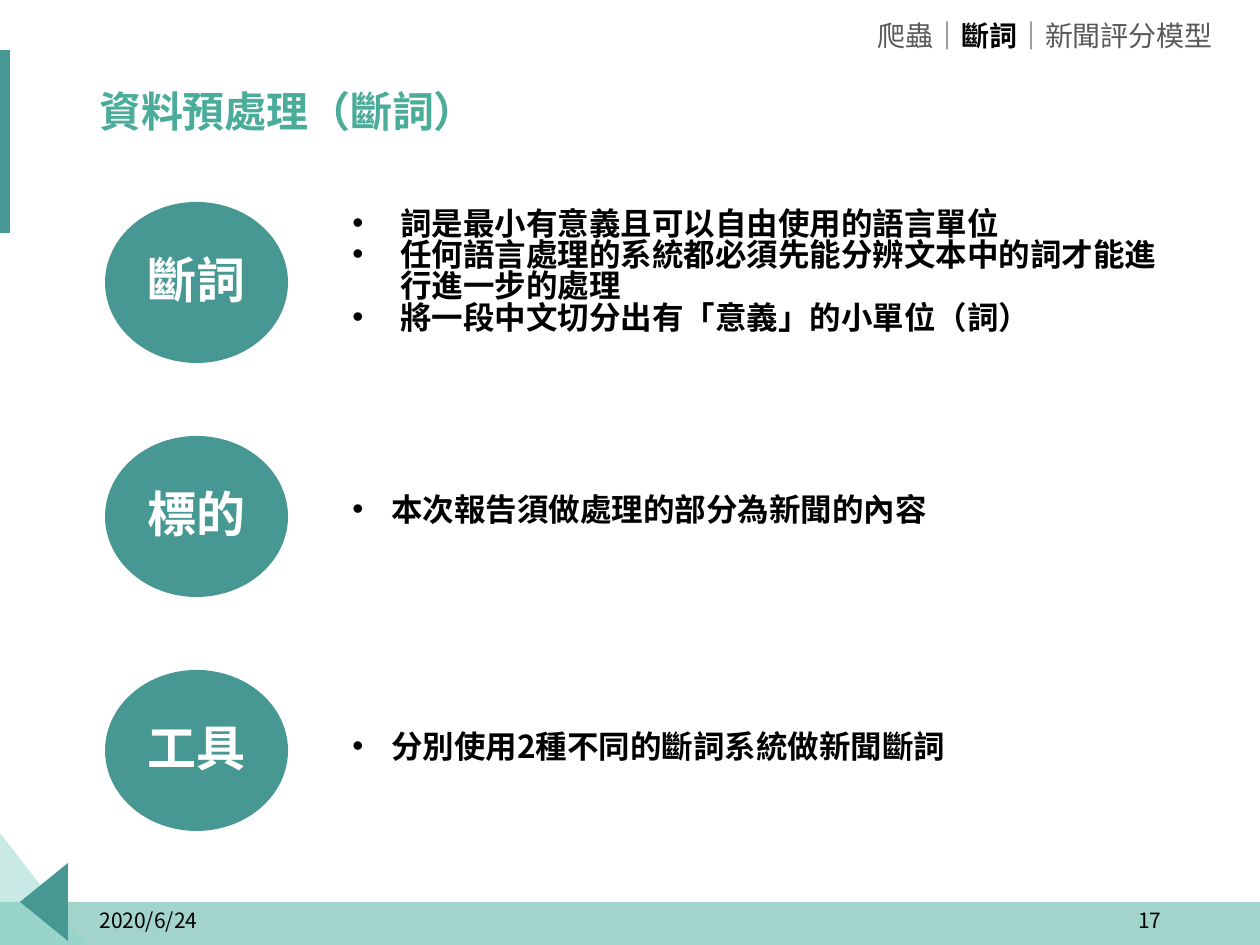
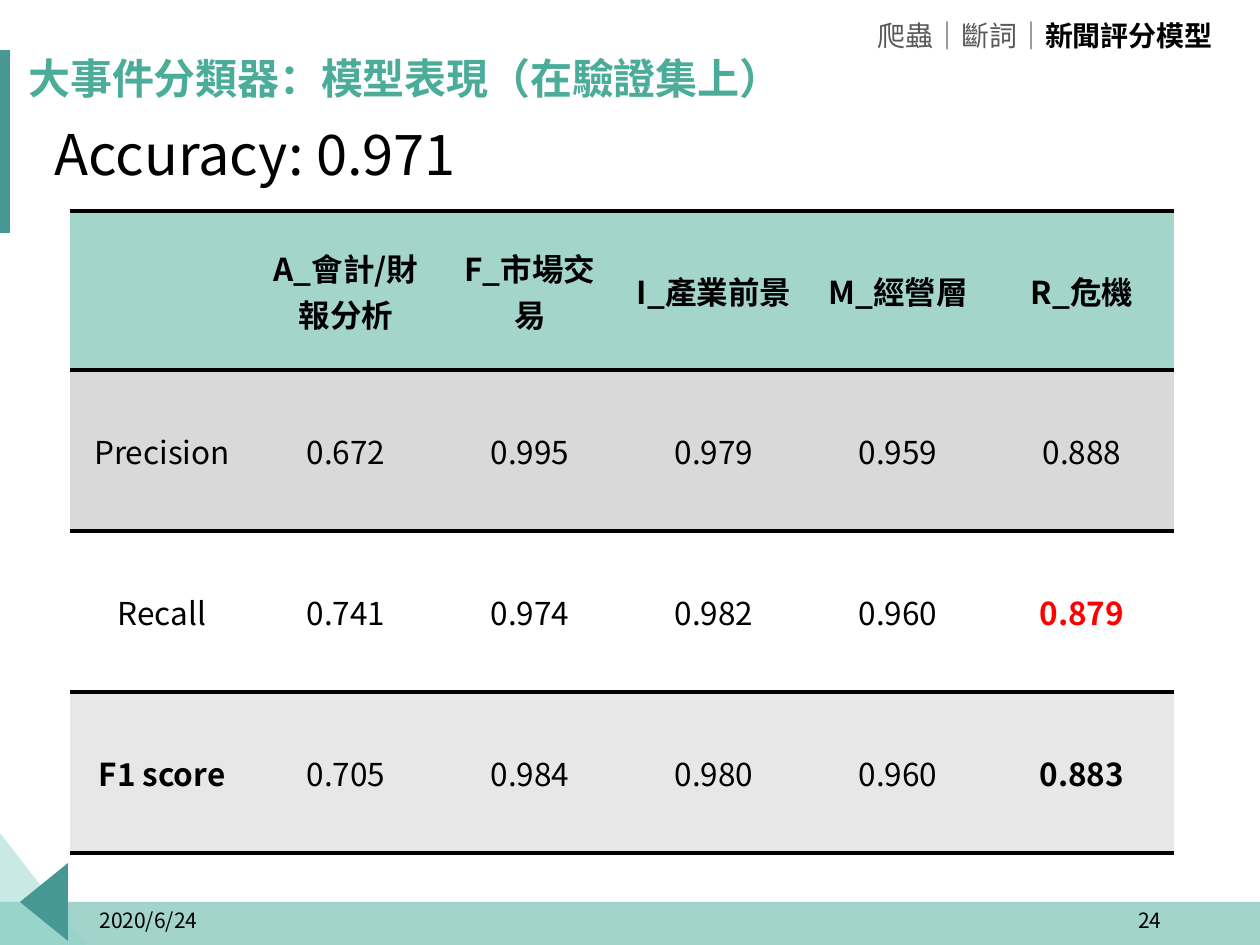
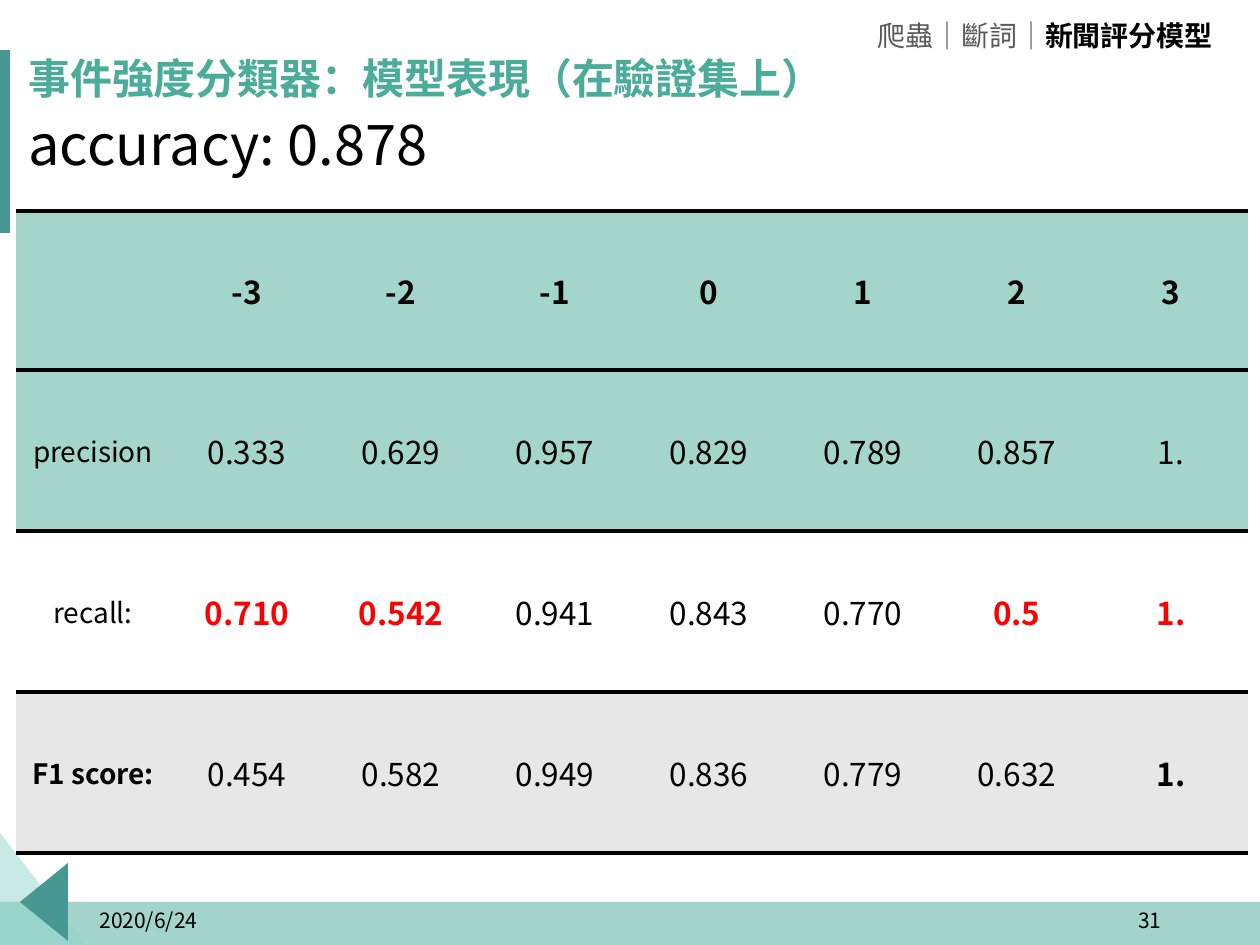
from lxml import etree
from pptx import Presentation
from pptx import util as u
from pptx.dml.color import RGBColor
from pptx.enum import shapes, text
from pptx.oxml import ns

SCALE = 914400 / 126
TEAL = RGBColor(0x47, 0x97, 0x93)
GREEN = RGBColor(0x4A, 0xAC, 0x99)
MINT = RGBColor(0x92, 0xD4, 0xCB)
HEADER = RGBColor(0xA3, 0xD5, 0xCB)
SILVER = RGBColor(0xD9, 0xD9, 0xD9)
PALE = RGBColor(0xE7, 0xE7, 0xE7)
WHITE = RGBColor(0xFF, 0xFF, 0xFF)
BLACK = RGBColor(0x00, 0x00, 0x00)
GRAY = RGBColor(0x59, 0x59, 0x59)
RED = RGBColor(0xFF, 0x00, 0x00)
SC = "Noto Sans CJK SC"
TC = "Noto Sans CJK TC"
LEFT, CENTER, RIGHT = text.PP_ALIGN.LEFT, text.PP_ALIGN.CENTER, text.PP_ALIGN.RIGHT
TOP, MIDDLE = text.MSO_ANCHOR.TOP, text.MSO_ANCHOR.MIDDLE
SECTIONS = ("爬蟲", "斷詞", "新聞評分模型")


def px(length):
    return u.Emu(round(length * SCALE))


class Deck:
    """Build slides that share one style."""

    def __init__(self):
        self.presentation = Presentation()
        self.presentation.slide_width = px(1260)
        self.presentation.slide_height = px(945)
        self.slide = None

    def add_slide(self, number, section):
        self.slide = self.presentation.slides.add_slide(self.presentation.slide_layouts[6])
        self.shape(shapes.MSO_SHAPE.RECTANGLE, (0, 902, 1260, 43), GREEN, 51)
        self.triangle([(0, 833), (87, 945), (0, 945)], MINT, 50)
        self.triangle([(68, 863), (68, 941), (20, 902)], TEAL)
        self.shape(shapes.MSO_SHAPE.RECTANGLE, (-10, 50, 20, 183), TEAL)
        self.text_box("2020/6/24", (87, 897, 284, 50), 12, anchor=MIDDLE)
        self.text_box(number, (890, 897, 284, 50), 12, align=RIGHT, anchor=MIDDLE)
        self.breadcrumb(section)

    def paint(self, shape, color, opacity=100):
        shape.shadow.inherit = False
        shape.line.fill.background()
        shape.fill.solid()
        shape.fill.fore_color.rgb = color
        if opacity < 100:
            fill = shape._element.spPr.find(ns.qn("a:solidFill"))
            etree.SubElement(fill[0], ns.qn("a:alpha"), val=str(opacity * 1000))

    def shape(self, kind, box, color, opacity=100):
        shape = self.slide.shapes.add_shape(kind, *map(px, box))
        self.paint(shape, color, opacity)
        return shape

    def triangle(self, points, color, opacity=100):
        builder = self.slide.shapes.build_freeform(*points[0], scale=SCALE)
        builder.add_line_segments(points[1:], close=True)
        self.paint(builder.convert_to_shape(), color, opacity)

    def format_run(self, run, size, font, color, bold):
        run.font.size = u.Pt(size)
        run.font.name = font
        run.font.bold = bold
        run.font.color.rgb = color
        etree.SubElement(run._r.get_or_add_rPr(), ns.qn("a:ea"), typeface=font)

    def format_paragraph(self, paragraph, size, font=TC, color=BLACK, bold=False, align=LEFT):
        paragraph.alignment = align
        for run in paragraph.runs:
            self.format_run(run, size, font, color, bold)

    def frame(self, box, anchor=TOP, wrap=True):
        frame = self.slide.shapes.add_textbox(*map(px, box)).text_frame
        frame.word_wrap = wrap
        frame.vertical_anchor = anchor
        return frame

    def text_box(self, content, box, size, font=TC, color=BLACK, bold=False, align=LEFT, anchor=TOP):
        frame = self.frame(box, anchor)
        frame.text = content
        paragraph = frame.paragraphs[0]
        paragraph.line_spacing = 0.9
        self.format_paragraph(paragraph, size, font, color, bold, align)
        return paragraph

    def title(self, content, box, font=TC):
        paragraph = self.text_box(content, box, 24, font, GREEN, True, anchor=MIDDLE)
        paragraph.runs[0]._r.get_or_add_rPr().set("spc", "-10")

    def breadcrumb(self, current):
        paragraph = self.frame((861, 16, 364, 47), wrap=False).paragraphs[0]
        paragraph.alignment = RIGHT
        paragraph.line_spacing = 0.9
        for index, section in enumerate(SECTIONS):
            if index:
                self.add_run(paragraph, "｜", SC, GRAY, False)
            active = section == current
            self.add_run(paragraph, section, TC, BLACK if active else GRAY, active)

    def add_run(self, paragraph, content, font, color, bold):
        run = paragraph.add_run()
        run.text = content
        self.format_run(run, 16, font, color, bold)

    def ellipse(self, content, box):
        frame = self.shape(shapes.MSO_SHAPE.OVAL, box, TEAL).text_frame
        frame.text = content
        frame.vertical_anchor = MIDDLE
        frame.paragraphs[0].line_spacing = 0.9
        self.format_paragraph(frame.paragraphs[0], 28, SC, WHITE, True, CENTER)

    def bullets(self, lines, box, indent):
        frame = self.frame(box)
        frame.text = "\n".join(lines)
        for paragraph in frame.paragraphs:
            properties = paragraph._p.get_or_add_pPr()
            properties.set("marL", str(px(indent)))
            properties.set("indent", str(-px(indent)))
            etree.SubElement(properties, ns.qn("a:buFont"), typeface="Arial")
            etree.SubElement(properties, ns.qn("a:buChar"), char="•")
            paragraph.line_spacing = 0.83
            self.format_paragraph(paragraph, 18, bold=True)

    def borders(self, cell):
        properties = cell._tc.get_or_add_tcPr()
        for position, side in enumerate(("lnL", "lnR", "lnT", "lnB")):
            line = etree.Element(ns.qn(f"a:{side}"), w=str(u.Pt(2.25)))
            if side in ("lnT", "lnB"):
                fill = etree.SubElement(line, ns.qn("a:solidFill"))
                etree.SubElement(fill, ns.qn("a:srgbClr"), val=str(BLACK))
            else:
                etree.SubElement(line, ns.qn("a:noFill"))
            properties.insert(position, line)

    def score_table(self, rows, left, column_width, fills, red_recalls, label_size=18, score_font=SC):
        columns = len(rows[0])
        heights = (159, 161, 161, 161)
        table = self.slide.shapes.add_table(
            len(rows), columns, px(left), px(211), px(column_width * columns), px(sum(heights))).table
        table.first_row = table.horz_banding = False
        for column in table.columns:
            column.width = px(column_width)
        for row_index, row in enumerate(rows):
            table.rows[row_index].height = px(heights[row_index])
            for column_index, content in enumerate(row):
                cell = table.cell(row_index, column_index)
                cell.text = content
                cell.vertical_anchor = MIDDLE
                cell.fill.solid()
                cell.fill.fore_color.rgb = fills[row_index]
                self.borders(cell)
                red = row_index == 2 and column_index in red_recalls
                bold = red or row_index == 0 or (row_index == 3 and column_index in (0, columns - 1))
                is_label = row_index > 0 and column_index == 0
                is_score = row_index > 0 and column_index > 0
                self.format_paragraph(
                    cell.text_frame.paragraphs[0], label_size if is_label else 18,
                    score_font if is_score else SC, RED if red else BLACK, bold, CENTER)


def main():
    deck = Deck()

    deck.add_slide("17", "斷詞")
    deck.title("資料預處理（斷詞）", (87, 72, 1086, 83), SC)
    for index, topic in enumerate(("斷詞", "標的", "工具")):
        deck.ellipse(topic, (105, 202 + 234 * index, 183, 161))
    deck.bullets([
        "詞是最小有意義且可以自由使用的語言單位",
        "任何語言處理的系統都必須先能分辨文本中的詞才能進行進一步的處理",
        "將一段中文切分出有「意義」的小單位（詞）",
    ], (340, 204, 830, 165), 48)
    deck.bullets(["本次報告須做處理的部分為新聞的內容"], (340, 490, 806, 89), 39)
    deck.bullets(["分別使用2種不同的斷詞系統做新聞斷詞"], (340, 727, 624, 89), 39)

    deck.add_slide("24", "新聞評分模型")
    deck.title("大事件分類器：模型表現（在驗證集上）", (16, 39, 953, 83))
    deck.score_table([
        ["", "A_會計/財報分析", "F_市場交易", "I_產業前景", "M_經營層", "R_危機"],
        ["Precision", "0.672", "0.995", "0.979", "0.959", "0.888"],
        ["Recall", "0.741", "0.974", "0.982", "0.960", "0.879"],
        ["F1 score", "0.705", "0.984", "0.980", "0.960", "0.883"],
    ], 70, 184, (HEADER, SILVER, WHITE, PALE), {5})
    deck.text_box("Accuracy: 0.971", (42, 121, 451, 118), 32, SC)

    deck.add_slide("31", "新聞評分模型")
    deck.title("事件強度分類器：模型表現（在驗證集上）", (16, 39, 953, 83))
    deck.score_table([
        ["", "-3", "-2", "-1", "0", "1", "2", "3"],
        ["precision", "0.333", "0.629", "0.957", "0.829", "0.789", "0.857", "1."],
        ["recall:", "0.710", "0.542", "0.941", "0.843", "0.770", "0.5", "1."],
        ["F1 score:", "0.454", "0.582", "0.949", "0.836", "0.779", "0.632", "1."],
    ], 16, 154, (HEADER, HEADER, WHITE, PALE), {1, 2, 6, 7}, 16, TC)
    deck.text_box("accuracy: 0.878", (16, 111, 1244, 118), 32)

    deck.presentation.save("out.pptx")


if __name__ == "__main__":
    main()
